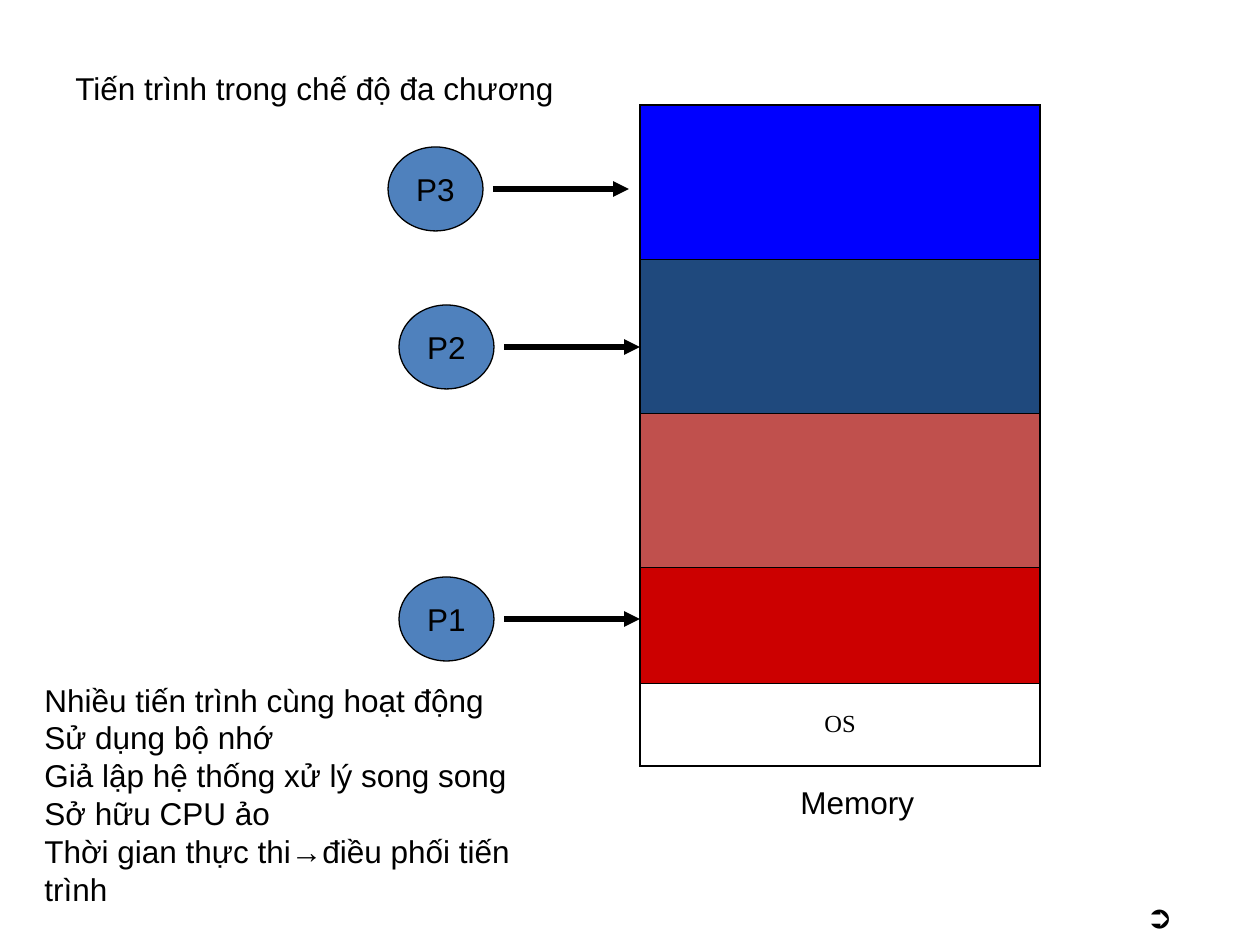
import pptx
import pptx.dml.color
import pptx.enum.shapes
import pptx.enum.text
import pptx.oxml
import pptx.oxml.ns
import pptx.util

EMU_PER_PX = 914400 / 126
BLACK = "000000"
BODY = {"name": "Arial", "size": pptx.util.Pt(18)}
SMALL = {"name": "Times New Roman", "size": pptx.util.Pt(14)}
MIDDLE = pptx.enum.text.MSO_ANCHOR.MIDDLE
TOP = pptx.enum.text.MSO_ANCHOR.TOP
CENTER = pptx.enum.text.PP_ALIGN.CENTER

MEMORY_LEFT, MEMORY_TOP, MEMORY_WIDTH = 640, 105, 400
PARTITIONS = [
    (154, "0000FF", ""),
    (154, "1F497D", ""),
    (154, "C0504D", ""),
    (116, "CC0000", ""),
    (83, None, "OS"),
]
PROCESSES = [("P1", 399, 577), ("P2", 399, 305), ("P3", 388, 147)]
PROCESS_WIDTH, PROCESS_HEIGHT = 95, 84
ARROW_OFFSET, ARROW_LENGTH = 105, 136
REMARKS = [
    "Nhiều tiến trình cùng hoạt động",
    "Sử dụng bộ nhớ",
    "Giả lập hệ thống xử lý song song",
    "Sở hữu CPU ảo",
    "Thời gian thực thi→điều phối tiến trình",
]


def px(length):
    """Turn pixels into EMU."""
    return pptx.util.Emu(round(length * EMU_PER_PX))


def color(value):
    """Turn a hex string into a colour."""
    return pptx.dml.color.RGBColor.from_string(value)


def add_xml(parent, tag, content=""):
    """Append a drawing element to a parent element."""
    namespace = pptx.oxml.ns.nsdecls("a")
    name = tag.split()[0]
    parent.append(pptx.oxml.parse_xml(f"<a:{tag} {namespace}>{content}</a:{name}>"))


def write(frame, lines, font_format, align=None):
    """Write one paragraph per line in the given format."""
    frame.text = "\n".join(lines)
    for paragraph in frame.paragraphs:
        paragraph.alignment = align
        for run in paragraph.runs:
            for key, value in font_format.items():
                setattr(run.font, key, value)
            run.font.color.rgb = color(BLACK)


def add_label(slide, box, lines, anchor=TOP, wrap=False):
    """Add a text box that grows with its lines."""
    frame = slide.shapes.add_textbox(*map(px, box)).text_frame
    frame_format = {
        "word_wrap": wrap,
        "vertical_anchor": anchor,
        "auto_size": pptx.enum.text.MSO_AUTO_SIZE.SHAPE_TO_FIT_TEXT,
    }
    for key, value in frame_format.items():
        setattr(frame, key, value)
    write(frame, lines, BODY)


def add_borders(cell, widths):
    """Draw the cell's sides with the given widths in points."""
    for side, width in widths.items():
        add_xml(
            cell._tc.get_or_add_tcPr(),
            f'ln{side} w="{pptx.util.Pt(width)}"',
            f'<a:solidFill><a:srgbClr val="{BLACK}"/></a:solidFill>',
        )


def add_memory(slide):
    """Add the memory table with one row per partition."""
    height = sum(partition[0] for partition in PARTITIONS)
    box = (MEMORY_LEFT, MEMORY_TOP, MEMORY_WIDTH, height)
    memory = slide.shapes.add_table(len(PARTITIONS), 1, *map(px, box)).table
    memory.first_row = memory.horz_banding = False
    last = len(PARTITIONS) - 1
    for index, (row_height, fill, label) in enumerate(PARTITIONS):
        memory.rows[index].height = px(row_height)
        cell = memory.cell(index, 0)
        top = 1.08 if index == 0 else 0.45
        bottom = 1.08 if index == last else 0.45
        add_borders(cell, {"L": 1.08, "R": 1.08, "T": top, "B": bottom})
        if fill:
            cell.fill.solid()
            cell.fill.fore_color.rgb = color(fill)
        else:
            cell.fill.background()
        cell.vertical_anchor = MIDDLE
        if label:
            write(cell.text_frame, [label], SMALL, CENTER)


def add_process(slide, name, left, top):
    """Add a process ellipse."""
    box = (left, top, PROCESS_WIDTH, PROCESS_HEIGHT)
    process = slide.shapes.add_shape(
        pptx.enum.shapes.MSO_SHAPE.OVAL, *map(px, box)
    )
    process.shadow.inherit = False
    process.fill.solid()
    process.fill.fore_color.rgb = color("4F81BD")
    process.line.color.rgb = color(BLACK)
    process.line.width = pptx.util.Pt(0.75)
    process.text_frame.word_wrap = False
    process.text_frame.vertical_anchor = MIDDLE
    write(process.text_frame, [name], BODY, CENTER)


def add_arrow(slide, left, middle):
    """Add a horizontal arrow towards the memory."""
    ends = (left, middle, left + ARROW_LENGTH, middle)
    arrow = slide.shapes.add_connector(
        pptx.enum.shapes.MSO_CONNECTOR.STRAIGHT, *map(px, ends)
    )
    arrow.line.color.rgb = color(BLACK)
    arrow.line.width = pptx.util.Pt(3)
    add_xml(arrow.line._get_or_add_ln(), 'tailEnd type="triangle"')
    add_xml(arrow._element.spPr, "effectLst")


def main():
    """Build the slide and save it."""
    deck = pptx.Presentation()
    deck.slide_width, deck.slide_height = px(1260), px(945)
    slide = deck.slides.add_slide(deck.slide_layouts[6])
    add_label(slide, (63, 63, 513, 50), ["Tiến trình trong chế độ đa chương"], MIDDLE)
    add_memory(slide)
    add_label(slide, (788, 777, 139, 50), ["Memory"])
    for name, left, top in PROCESSES:
        add_process(slide, name, left, top)
        add_arrow(slide, left + ARROW_OFFSET, top + PROCESS_HEIGHT // 2)
    add_label(slide, (32, 693, 562, 202), REMARKS, MIDDLE)
    add_label(slide, (1134, 891, 53, 50), ["➲"], wrap=True)
    deck.save("out.pptx")


if __name__ == "__main__":
    main()
